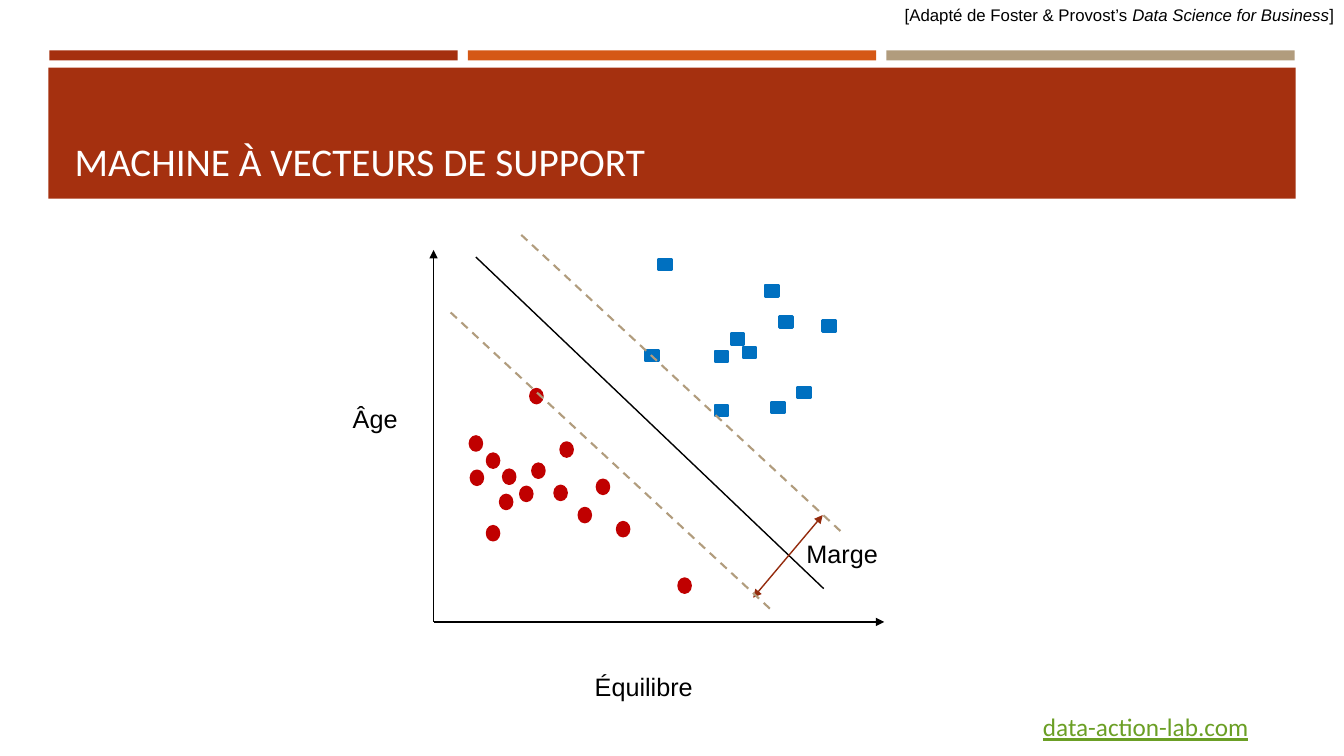
from dataclasses import dataclass

import pptx
import pptx.util
import pptx.dml.color
import pptx.enum.dml
import pptx.enum.shapes
import pptx.enum.text
import pptx.oxml.ns
from lxml import etree

SCALE = 9144  # EMU per px, 100 px to the inch
SHAPE = pptx.enum.shapes.MSO_SHAPE
ALIGN = pptx.enum.text.PP_ALIGN


@dataclass(frozen=True)
class Theme:
    rust: str = "A5300F"
    orange: str = "D55816"
    sand: str = "B19C7D"
    dark_rust: str = "942B0D"
    link: str = "6B9F25"
    red: str = "C00000"
    blue: str = "0070C0"
    black: str = "000000"
    white: str = "FFFFFF"
    body_font: str = "Arial"
    head_font: str = "Calibri"
    title_size: int = 28
    label_size: int = 18
    source_size: int = 12


T = Theme()

TITLE = "MACHINE À VECTEURS DE SUPPORT"
SITE = "data-action-lab.com"
SOURCE = [
    ("[Adapté de Foster\u00a0&\u00a0Provost’s\u00a0", False),
    ("Data Science for Business", True),
    ("]", False),
]
LABELS = [("Âge", 340, 395, 109), ("Équilibre", 580, 661, 129), ("Marge", 790, 529, 109)]
STRIPES = [T.rust, T.orange, T.sand]

# Left and top of each point
RED_POINTS = [
    (466, 433), (483, 450), (467, 467), (483, 522), (528, 460),
    (550, 482), (556, 439), (612, 518), (574, 504), (526, 386),
    (592, 476), (673, 574), (499, 466), (516, 483), (496, 491),
]
BLUE_POINTS = [
    (640, 347), (709, 402), (709, 348), (725, 331), (765, 399), (737, 344),
    (791, 384), (773, 314), (653, 257), (816, 318), (759, 283),
]
SERIES = [
    (SHAPE.OVAL, RED_POINTS, 12, 14, T.red),
    (SHAPE.RECTANGLE, BLUE_POINTS, 13, 11, T.blue),
]

ORIGIN = (430, 617)
AXIS_ENDS = [(430, 248), (877, 617)]
BOUNDARY = ((472, 255), (817, 584))
MARGIN_ARROW = ((747, 593), (816, 511))
MARGIN_STARTS = [(447, 310), (517, 233)]
MARGIN_RUN = (320, 297)


def px(*lengths):
    return [pptx.util.Emu(n * SCALE) for n in lengths]


def rgb(code):
    return pptx.dml.color.RGBColor.from_string(code)


def set_font(p, name, size, color):
    p.font.name = name
    p.font.size = pptx.util.Pt(size)
    p.font.color.rgb = rgb(color)


def add_block(s, kind, x, y, w, h, color, outline=0):
    sp = s.shapes.add_shape(kind, *px(x, y, w, h))
    sp.shadow.inherit = False
    sp.fill.solid()
    sp.fill.fore_color.rgb = rgb(color)
    if outline:
        sp.line.color.rgb = rgb(color)
        sp.line.width = pptx.util.Pt(outline)
    else:
        sp.line.fill.background()


def add_text(s, runs, x, y, w, h, name, size, color, align=ALIGN.LEFT):
    """Add a one-paragraph box from (text, italic) runs and return the paragraph."""
    tf = s.shapes.add_textbox(*px(x, y, w, h)).text_frame
    tf.word_wrap = True
    p = tf.paragraphs[0]
    p.alignment = align
    for text, italic in runs:
        r = p.add_run()
        r.text = text
        if italic:
            r.font.italic = True
    set_font(p, name, size, color)
    return p


def add_line(s, start, end, color=T.black, width=1, dash=False, arrows=()):
    """Arrows lists the ends to point: headEnd is the start, tailEnd the end."""
    line = s.shapes.add_connector(
        pptx.enum.shapes.MSO_CONNECTOR.STRAIGHT, *px(*start, *end))
    line.line.color.rgb = rgb(color)
    line.line.width = pptx.util.Pt(width)
    if dash:
        line.line.dash_style = pptx.enum.dml.MSO_LINE.DASH
    ln = line.line._get_or_add_ln()
    for tag in arrows:
        etree.SubElement(ln, pptx.oxml.ns.qn("a:" + tag), type="triangle")
    etree.SubElement(line.element.spPr, pptx.oxml.ns.qn("a:effectLst"))


def add_header(s):
    for i, color in enumerate(STRIPES):
        add_block(s, SHAPE.RECTANGLE, 49 + 415 * i, 50, 405, 10, color)
    add_block(s, SHAPE.RECTANGLE, 48, 67, 1237, 130, T.rust)

    title = s.shapes.title
    s.shapes.element.append(title.element)  # bring in front of the band
    title.left, title.top, title.width, title.height = px(64, 77, 1206, 111)
    tf = title.text_frame
    tf.text = TITLE
    tf.word_wrap = True
    tf.auto_size = pptx.enum.text.MSO_AUTO_SIZE.NONE
    tf.vertical_anchor = pptx.enum.text.MSO_ANCHOR.BOTTOM
    p = tf.paragraphs[0]
    p.alignment = ALIGN.LEFT
    set_font(p, T.head_font, T.title_size, T.white)

    add_text(s, SOURCE, 447, 0, 886, 30, T.body_font, T.source_size, T.black, ALIGN.RIGHT)
    p = add_text(s, [(SITE, False)], 988, 701, 260, 40,
                 T.head_font, T.label_size, T.link, ALIGN.RIGHT)
    p.font.underline = True


def add_diagram(s):
    for end in AXIS_ENDS:
        add_line(s, ORIGIN, end, arrows=["tailEnd"])
    for text, x, y, w in LABELS:
        add_text(s, [(text, False)], x, y, w, 40, T.body_font, T.label_size, T.black)
    add_line(s, *BOUNDARY)
    for kind, points, w, h, color in SERIES:
        for x, y in points:
            add_block(s, kind, x, y, w, h, color, outline=1.75)
    add_line(s, *MARGIN_ARROW, color=T.dark_rust, arrows=["headEnd", "tailEnd"])
    for x, y in MARGIN_STARTS:
        end = (x + MARGIN_RUN[0], y + MARGIN_RUN[1])
        add_line(s, (x, y), end, T.sand, 1.5, dash=True)


def main():
    prs = pptx.Presentation()
    prs.slide_width, prs.slide_height = px(1333, 750)
    s = prs.slides.add_slide(prs.slide_layouts[5])
    add_header(s)
    add_diagram(s)
    prs.save("out.pptx")


if __name__ == "__main__":
    main()
